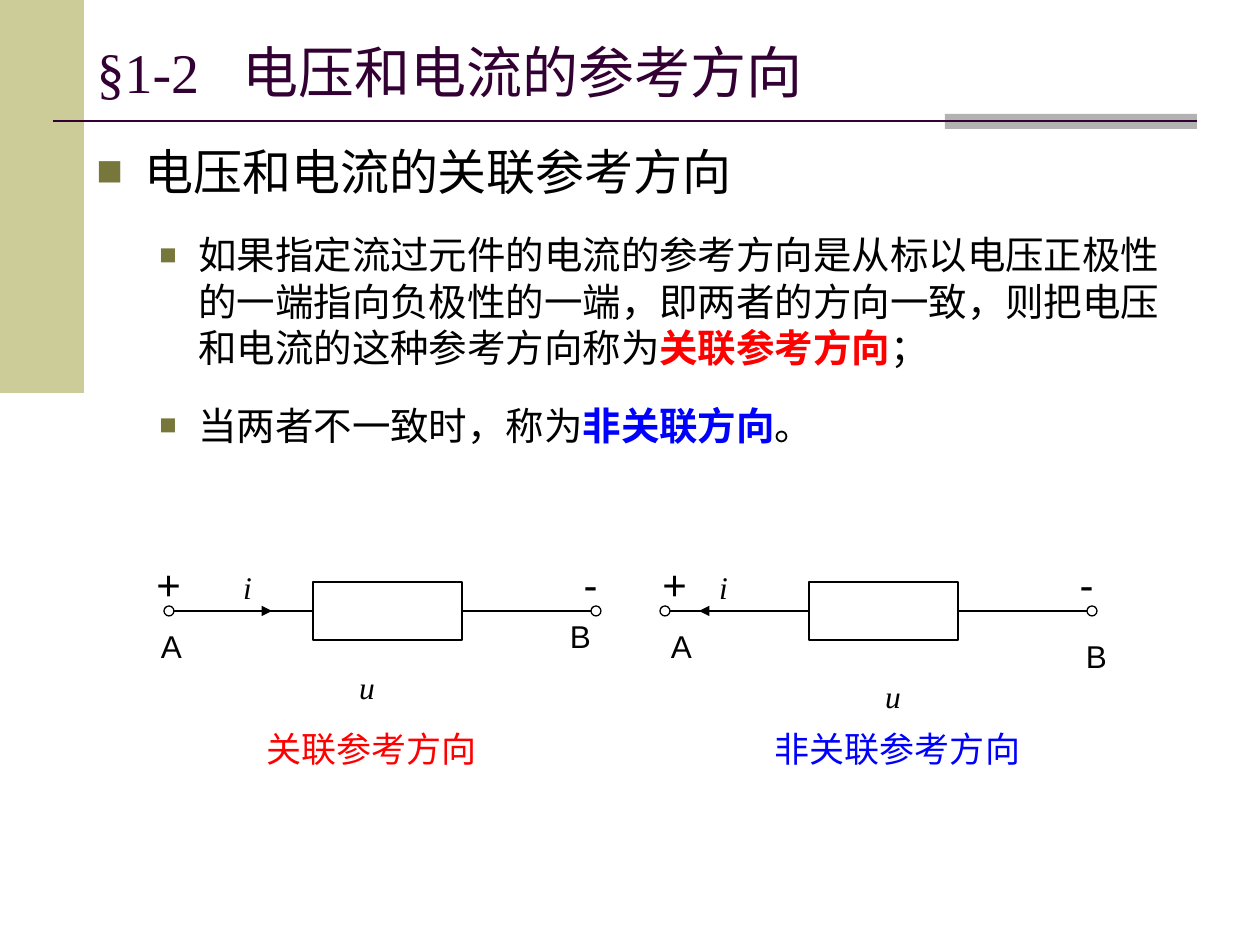
from lxml.etree import SubElement
from pptx import Presentation
from pptx.dml.color import RGBColor
from pptx.enum.shapes import MSO_CONNECTOR, MSO_SHAPE
from pptx.enum.text import MSO_ANCHOR, MSO_AUTO_SIZE, PP_ALIGN
from pptx.oxml.ns import qn
from pptx.util import Emu, Pt

BLACK = RGBColor(0x00, 0x00, 0x00)
RED = RGBColor(0xFF, 0x00, 0x00)
BLUE = RGBColor(0x00, 0x00, 0xFF)
PURPLE = RGBColor(0x33, 0x00, 0x33)
KHAKI = RGBColor(0xCC, 0xCC, 0x99)
GRAY = RGBColor(0xB2, 0xB2, 0xB2)
OLIVE = RGBColor(0x77, 0x77, 0x3B)

SANS = "Arial"
SERIF = "Times New Roman"

WIRE_Y = 611
TERMINAL = 10
COMPONENT_WIDTH, COMPONENT_HEIGHT = 149, 58
CIRCUIT_WIDTH = 437


def px(length):
    return Emu(round(length * 914400 / 126))


def add_run(paragraph, text, size, color=BLACK, name=SANS, bold=False, italic=False):
    run = paragraph.add_run()
    run.text = text
    run.font.size = Pt(size)
    run.font.name = name
    run.font.bold = bold
    run.font.italic = italic
    run.font.color.rgb = color


def add_shape(slide, kind, left, top, width, height, fill=None, line=None):
    shape = slide.shapes.add_shape(kind, px(left), px(top), px(width), px(height))
    shape.shadow.inherit = False
    if fill is None:
        shape.fill.background()
    else:
        shape.fill.solid()
        shape.fill.fore_color.rgb = fill
    if line is None:
        shape.line.fill.background()
    else:
        shape.line.color.rgb = line
        shape.line.width = Pt(0.75)
    return shape


def add_line(slide, start, end, y, color=BLACK, width=0.75, arrow=False):
    """Draw a horizontal line, with an arrowhead at its end if asked for."""
    line = slide.shapes.add_connector(
        MSO_CONNECTOR.STRAIGHT, px(start), px(y), px(end), px(y))
    line.line.color.rgb = color
    line.line.width = Pt(width)
    if arrow:
        SubElement(line.line._get_or_add_ln(), qn("a:tailEnd"), type="triangle")
    SubElement(line._element.spPr, qn("a:effectLst"))
    return line


def add_text_box(slide, left, top, width, height):
    frame = slide.shapes.add_textbox(px(left), px(top), px(width), px(height)).text_frame
    frame.word_wrap = True
    return frame


def add_label(slide, text, left, top, width, height, size, **style):
    paragraph = add_text_box(slide, left, top, width, height).paragraphs[0]
    paragraph.alignment = PP_ALIGN.CENTER
    add_run(paragraph, text, size, **style)


def set_bullet(paragraph, level, margin, indent, percent):
    properties = paragraph._p.get_or_add_pPr()
    properties.set("marL", str(px(margin)))
    properties.set("indent", str(px(-indent)))
    color = SubElement(properties, qn("a:buClr"))
    SubElement(color, qn("a:srgbClr"), val=str(OLIVE))
    SubElement(properties, qn("a:buSzPct"), val=str(percent * 1000))
    SubElement(properties, qn("a:buFont"), typeface=SANS)
    SubElement(properties, qn("a:buChar"), char="■")
    paragraph.level = level


def add_decoration(slide):
    add_shape(slide, MSO_SHAPE.RECTANGLE, 0, 0, 84, 393, fill=KHAKI)
    add_shape(slide, MSO_SHAPE.RECTANGLE, 945, 114, 252, 15, fill=GRAY)
    add_line(slide, 53, 1197, 121, PURPLE, 1.5)


def add_title(slide):
    title = slide.shapes.title
    title.left, title.top, title.width, title.height = px(84), px(38), px(1113), px(67)
    frame = title.text_frame
    frame.auto_size = MSO_AUTO_SIZE.NONE
    frame.vertical_anchor = MSO_ANCHOR.MIDDLE
    paragraph = frame.paragraphs[0]
    paragraph.alignment = PP_ALIGN.LEFT
    tabs = SubElement(paragraph._p.get_or_add_pPr(), qn("a:tabLst"))
    SubElement(tabs, qn("a:tab"), pos=str(px(146)), algn="l")
    add_run(paragraph, "§1-2\t电压和电流的参考方向", 32, PURPLE, SERIF)


def add_body(slide):
    frame = add_text_box(slide, 84, 135, 1113, 745)
    heading = frame.paragraphs[0]
    set_bullet(heading, 0, 48, 48, 90)
    add_run(heading, "电压和电流的关联参考方向", 28)
    points = [
        ("如果指定流过元件的电流的参考方向是从标以电压正极性的一端指向负极性的一端，"
         "即两者的方向一致，则把电压和电流的这种参考方向称为",
         "关联参考方向", RED, "；"),
        ("当两者不一致时，称为", "非关联方向", BLUE, "。"),
    ]
    for text, term, color, ending in points:
        paragraph = frame.add_paragraph()
        set_bullet(paragraph, 1, 102, 39, 75)
        paragraph.space_before = Pt(18)
        add_run(paragraph, text, 22)
        add_run(paragraph, term, 22, color, bold=True)
        add_run(paragraph, ending, 22)


def add_circuit(slide, left, arrow_start, arrow_end):
    """Draw a two-terminal component with its wires and current arrow."""
    right = left + CIRCUIT_WIDTH
    component = add_shape(
        slide, MSO_SHAPE.RECTANGLE, left + 149, WIRE_Y - COMPONENT_HEIGHT // 2,
        COMPONENT_WIDTH, COMPONENT_HEIGHT, line=BLACK)
    for terminal_left in (left, right - TERMINAL):
        add_shape(slide, MSO_SHAPE.OVAL, terminal_left, WIRE_Y - TERMINAL // 2,
                  TERMINAL, TERMINAL, line=BLACK)
    for side, wire_end in ((1, left + TERMINAL), (3, right - TERMINAL)):
        wire = add_line(slide, left + 149, wire_end, WIRE_Y)
        wire.begin_connect(component, side)
    add_line(slide, arrow_start, arrow_end, WIRE_Y, arrow=True)


def add_circuit_labels(slide):
    for text, left, width in (("+", 134, 69), ("-", 561, 59),
                              ("+", 640, 69), ("-", 1057, 59)):
        add_label(slide, text, left, 552, width, 63, 24)
    for text, left, top, width in (("A", 140, 621, 63), ("B", 551, 611, 59),
                                   ("A", 650, 621, 63), ("B", 1067, 631, 59)):
        add_label(slide, text, left, top, width, 50, 18)
    for text, left, top, width in (("i", 223, 562, 49), ("u", 312, 662, 110),
                                   ("i", 679, 562, 89), ("u", 838, 671, 110)):
        add_label(slide, text, left, top, width, 50, 18, name=SERIF, italic=True)
    for text, left, color in (("关联参考方向", 233, RED), ("非关联参考方向", 759, BLUE)):
        add_label(slide, text, left, 721, 277, 55, 20, color=color)


def main():
    presentation = Presentation()
    presentation.slide_width, presentation.slide_height = px(1260), px(945)
    slide = presentation.slides.add_slide(presentation.slide_layouts[5])
    add_decoration(slide)
    add_title(slide)
    add_body(slide)
    add_circuit(slide, 164, 213, 272)
    add_circuit(slide, 660, 769, 699)
    add_circuit_labels(slide)
    presentation.save("out.pptx")


if __name__ == "__main__":
    main()
